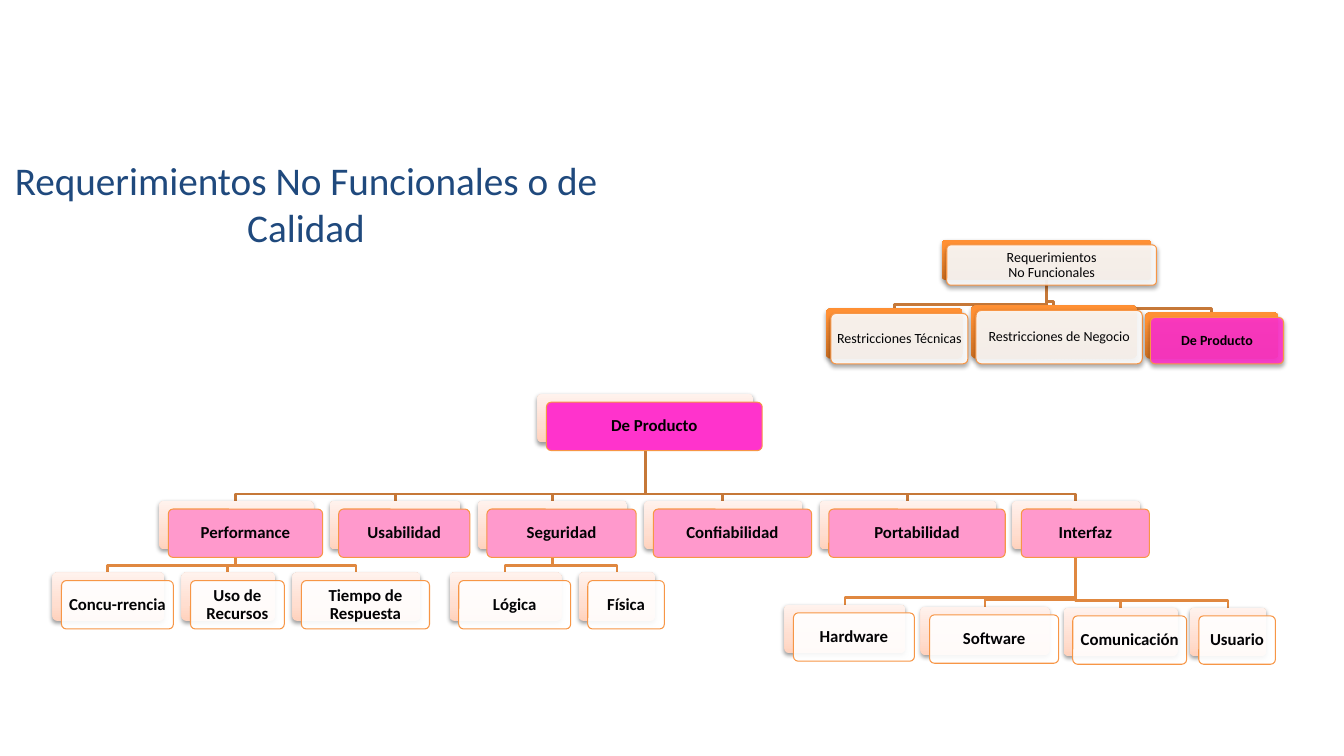
from dataclasses import dataclass

from lxml import etree
from pptx import Presentation
from pptx.dml.color import RGBColor
from pptx.enum.shapes import MSO_SHAPE
from pptx.enum.text import MSO_ANCHOR, PP_ALIGN
from pptx.oxml.ns import qn
from pptx.util import Pt

ROUNDED = MSO_SHAPE.ROUNDED_RECTANGLE
MIDDLE = MSO_ANCHOR.MIDDLE
CENTER = PP_ALIGN.CENTER
PX = 9144
FONT = "Calibri"

NAVY = RGBColor(0x1F, 0x49, 0x7D)
INK = RGBColor(0x03, 0x03, 0x05)
BLACK = RGBColor(0x00, 0x00, 0x00)
WHITE = RGBColor(0xFF, 0xFF, 0xFF)
MAGENTA = RGBColor(0xFF, 0x33, 0xCC)
PINK = RGBColor(0xFF, 0x99, 0xCC)
ORANGE = RGBColor(0xF7, 0x96, 0x46)
BROWN = RGBColor(0xC6, 0x78, 0x38)
AMBER = RGBColor(0xE0, 0x88, 0x40)
PEACH_STOPS = (
    (0, RGBColor(0xFF, 0xD2, 0xBD)),
    (35, RGBColor(0xFF, 0xDE, 0xD0)),
    (100, RGBColor(0xFF, 0xF2, 0xED)),
)
ORANGE_STOPS = (
    (0, RGBColor(0xCC, 0x6E, 0x20)),
    (80, RGBColor(0xFF, 0x90, 0x34)),
    (100, RGBColor(0xFF, 0x91, 0x36)),
)


@dataclass(frozen=True)
class Box:
    text: str
    x: int
    y: int
    w: int
    h: int
    fill: RGBColor
    opacity: int = 100
    color: RGBColor = INK
    bold: bool = True

    @property
    def center(self) -> int:
        return self.x + self.w // 2

    @property
    def bottom(self) -> int:
        return self.y + self.h


@dataclass(frozen=True)
class Branch:
    parent: Box
    children: tuple
    line: RGBColor


@dataclass(frozen=True)
class Chart:
    branches: tuple
    stops: tuple
    offset: tuple
    drop: int
    inset: int
    size: int
    shadow: tuple
    front_shadow: bool


def category(text: str, x: int, w: int) -> Box:
    return Box(text, x, 497, w, 48, PINK)


def leaf(text: str, x: int, w: int, y: int = 568) -> Box:
    return Box(text, x, y, w, 48, WHITE, 90)


def restriction(text: str, x: int, y: int, w: int, h: int) -> Box:
    return Box(text, x, y, w, h, WHITE, 90, bold=False)


def add_shadow(s, shadow: tuple) -> None:
    alpha, distance = shadow
    effects = s._element.spPr.find(qn("a:effectLst"))
    outer = etree.SubElement(effects, qn("a:outerShdw"), blurRad="40000",
                             dist=str(distance), dir="5400000", rotWithShape="0")
    color = etree.SubElement(outer, qn("a:srgbClr"), val=str(BLACK))
    etree.SubElement(color, qn("a:alpha"), val=str(alpha * 1000))


def set_gradient(s, stops: tuple) -> None:
    s.fill.gradient()
    s.fill.gradient_angle = 90
    gs_list = s._element.spPr.find(qn("a:gradFill")).find(qn("a:gsLst"))
    for old in list(gs_list):
        gs_list.remove(old)
    for position, color in stops:
        gs = etree.SubElement(gs_list, qn("a:gs"), pos=str(position * 1000))
        etree.SubElement(gs, qn("a:srgbClr"), val=str(color))


def set_text(tf, text: str, inset: tuple, font: dict, spacing: float) -> None:
    side, top = inset
    frame = dict(word_wrap=True, vertical_anchor=MIDDLE,
                 margin_left=side * PX, margin_right=side * PX,
                 margin_top=top * PX, margin_bottom=top * PX)
    for name, value in frame.items():
        setattr(tf, name, value)
    tf.text = text
    for p in tf.paragraphs:
        p.alignment = CENTER
        p.line_spacing = spacing
        p.space_before = p.space_after = Pt(0)
        for r in p.runs:
            r.font.color.rgb = font["color"]
            for name in ("name", "size", "bold"):
                setattr(r.font, name, font[name])


def add_plate(slide, box: Box, dx: int, dy: int):
    s = slide.shapes.add_shape(ROUNDED, (box.x + dx) * PX, (box.y + dy) * PX,
                               box.w * PX, box.h * PX)
    s.adjustments[0] = 0.1
    s.shadow.inherit = False
    return s


def add_box(slide, box: Box, chart: Chart) -> None:
    back = add_plate(slide, box, 0, 0)
    set_gradient(back, chart.stops)
    back.line.fill.background()
    add_shadow(back, chart.shadow)

    front = add_plate(slide, box, *chart.offset)
    front.fill.solid()
    front.fill.fore_color.rgb = box.fill
    if box.opacity < 100:
        color = front._element.spPr.find(qn("a:solidFill"))[0]
        etree.SubElement(color, qn("a:alpha"), val=str(box.opacity * 1000))
    front.line.color.rgb = ORANGE
    front.line.width = Pt(0.75)
    if chart.front_shadow:
        add_shadow(front, chart.shadow)
    font = dict(name=FONT, size=Pt(chart.size), bold=box.bold, color=box.color)
    set_text(front.text_frame, box.text, (chart.inset, chart.inset), font, 0.9)


def add_elbow(slide, parent: Box, child: Box, drop: int, color: RGBColor) -> None:
    turn = child.y - drop
    builder = slide.shapes.build_freeform(parent.center, parent.bottom, scale=PX)
    builder.add_line_segments(
        [(parent.center, turn), (child.center, turn), (child.center, child.y)],
        close=False)
    s = builder.convert_to_shape()
    s.fill.background()
    s.line.color.rgb = color
    s.line.width = Pt(2)
    s.shadow.inherit = False


def add_chart_tree(slide, chart: Chart) -> None:
    for branch in reversed(chart.branches):
        for child in reversed(branch.children):
            add_elbow(slide, branch.parent, child, chart.drop, branch.line)
    add_box(slide, chart.branches[0].parent, chart)
    for branch in chart.branches:
        for child in branch.children:
            add_box(slide, child, chart)


PRODUCT = Box("De Producto", 533, 391, 214, 48, MAGENTA, color=BLACK)
CATEGORIES = (
    category("Performance", 158, 153), category("Usabilidad", 327, 130),
    category("Seguridad", 474, 148), category("Confiabilidad", 639, 157),
    category("Portabilidad", 813, 175), category("Interfaz", 1004, 127),
)
PERFORMANCE = (leaf("Concu-rrencia", 52, 111), leaf("Uso de Recursos", 180, 93),
               leaf("Tiempo de Respuesta", 290, 127))
SECURITY = (leaf("Lógica", 446, 111), leaf("Física", 574, 76))
INTERFACE = (leaf("Hardware", 778, 120, 600), leaf("Software", 913, 128, 602),
             leaf("Comunicación", 1055, 113, 603), leaf("Usuario", 1180, 76, 603))
PRODUCT_CHART = Chart(
    (Branch(PRODUCT, CATEGORIES, BROWN), Branch(CATEGORIES[0], PERFORMANCE, AMBER),
     Branch(CATEGORIES[2], SECURITY, AMBER), Branch(CATEGORIES[5], INTERFACE, AMBER)),
    PEACH_STOPS, (9, 8), 7, 5, 12, (38, 20000), False)

REQUIREMENTS = restriction("Requerimientos\nNo Funcionales", 934, 238, 208, 40)
KINDS = (restriction("Restricciones Técnicas", 819, 306, 136, 50),
         restriction("Restricciones de Negocio", 963, 303, 165, 53),
         Box("De Producto", 1136, 310, 132, 46, MAGENTA, 90, BLACK))
OVERVIEW_CHART = Chart((Branch(REQUIREMENTS, KINDS, BROWN),),
                       ORANGE_STOPS, (5, 5), 4, 4, 10, (35, 23000), True)


def main() -> None:
    prs = Presentation()
    prs.slide_width, prs.slide_height = 1333 * PX, 750 * PX
    slide = prs.slides.add_slide(prs.slide_layouts[5])
    title = slide.shapes.title
    place = dict(left=-42, top=139, width=691, height=125)
    for name, value in place.items():
        setattr(title, name, value * PX)
    font = dict(name=FONT, size=Pt(28), bold=False, color=NAVY)
    set_text(title.text_frame, "Requerimientos No Funcionales o de Calidad",
             (13, 7), font, 1.0)
    for chart in (PRODUCT_CHART, OVERVIEW_CHART):
        add_chart_tree(slide, chart)
    prs.save("out.pptx")


if __name__ == "__main__":
    main()
